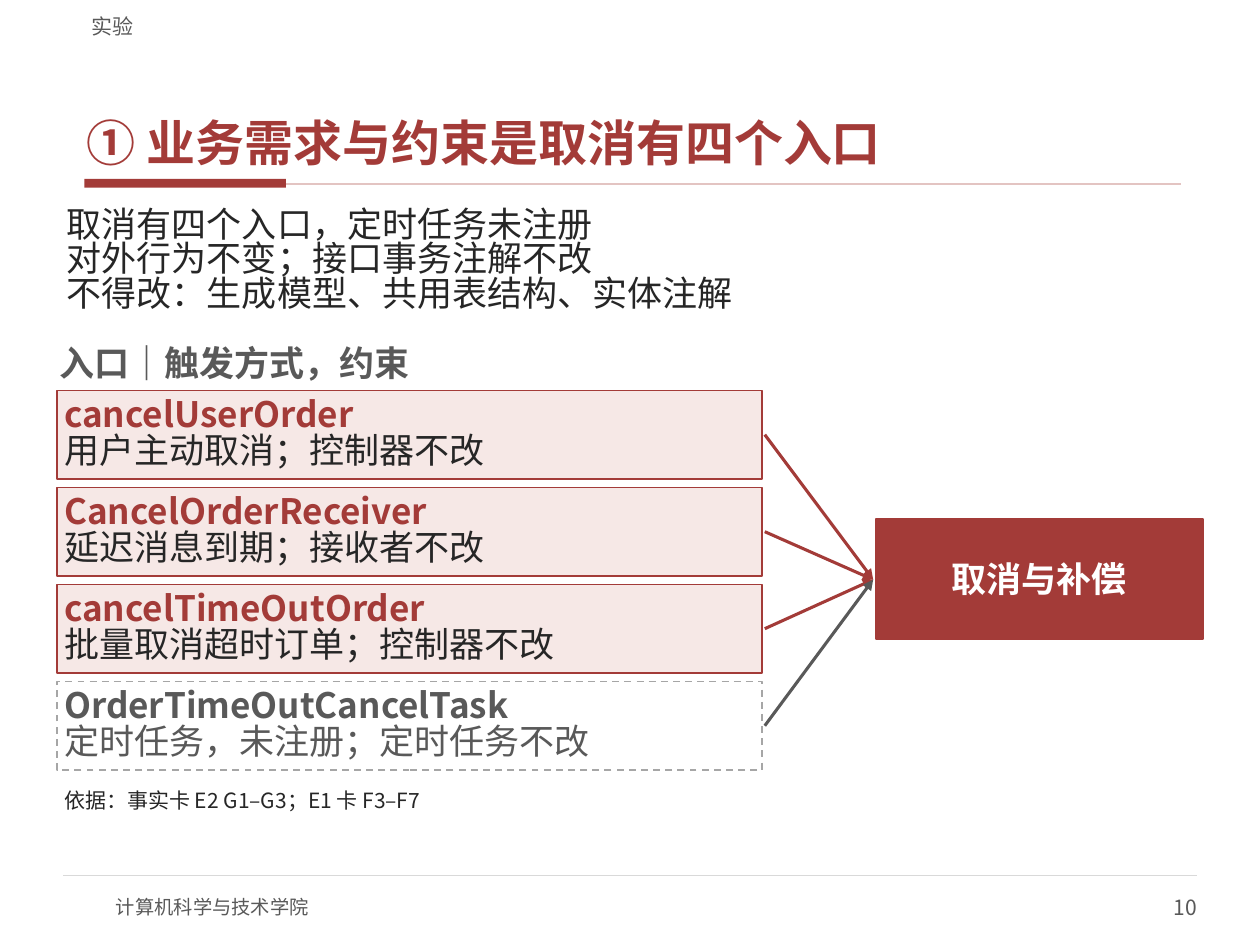
from lxml import etree
from pptx import Presentation
from pptx.dml.color import RGBColor
from pptx.enum.dml import MSO_LINE
from pptx.enum.shapes import MSO_CONNECTOR, MSO_SHAPE
from pptx.enum.text import MSO_ANCHOR, MSO_AUTO_SIZE, PP_ALIGN
from pptx.oxml.ns import qn
from pptx.util import Pt

DASH = MSO_LINE.DASH
STRAIGHT = MSO_CONNECTOR.STRAIGHT
RECTANGLE = MSO_SHAPE.RECTANGLE
TOP, MIDDLE, BOTTOM = MSO_ANCHOR.TOP, MSO_ANCHOR.MIDDLE, MSO_ANCHOR.BOTTOM
NO_AUTOFIT = MSO_AUTO_SIZE.NONE
LEFT, CENTER, RIGHT = PP_ALIGN.LEFT, PP_ALIGN.CENTER, PP_ALIGN.RIGHT

FONT = "Noto Sans CJK SC"
RED, PINK, INK, GREY, WHITE = "A33B38", "F6E8E6", "262626", "595959", "FFFFFF"
MARGIN = 32.4
ENTRY_TOP, ENTRY_STEP, ENTRY_WIDTH, ENTRY_HEIGHT = 223.2, 55.44, 403.2, 50.4
ARROW_START, ARROW_END, TARGET_MIDDLE = 437.04, 498.96, 331.2

RULES = (
    "取消有四个入口，定时任务未注册",
    "对外行为不变；接口事务注解不改",
    "不得改：生成模型、共用表结构、实体注解",
)
ENTRIES = (
    ("cancelUserOrder", "用户主动取消；控制器不改", True),
    ("CancelOrderReceiver", "延迟消息到期；接收者不改", True),
    ("cancelTimeOutOrder", "批量取消超时订单；控制器不改", True),
    ("OrderTimeOutCancelTask", "定时任务，未注册；定时任务不改", False),
)


def color(value):
    """Turn a hex string into a colour."""
    return RGBColor.from_string(value)


def write(shape, lines, size, inset=(0, 0), anchor=TOP, align=LEFT, spacing=None, before=0, after=0):
    """Fill a shape with lines given as (text, colour, bold)."""
    frame = shape.text_frame
    frame.auto_size = NO_AUTOFIT
    frame.word_wrap = True
    frame.vertical_anchor = anchor
    frame.margin_left = frame.margin_right = Pt(inset[0])
    frame.margin_top = frame.margin_bottom = Pt(inset[1])
    for index, (text, ink, bold) in enumerate(lines):
        para = frame.add_paragraph() if index else frame.paragraphs[0]
        para.alignment = align
        para.space_before, para.space_after = Pt(before), Pt(after)
        if spacing:
            para.line_spacing = spacing
        span = para.add_run()
        span.text = text
        span.font.name = FONT
        span.font.size = Pt(size)
        span.font.bold = bold
        span.font.color.rgb = color(ink)
        etree.SubElement(span.font._element, qn("a:ea")).set("typeface", FONT)


def add_text(page, place, lines, size, **layout):
    """Add a text box."""
    box = page.shapes.add_textbox(*map(Pt, place))
    write(box, lines, size, **layout)


def add_box(page, place, fill, line=None, dash=None):
    """Add a filled rectangle with an optional outline."""
    box = page.shapes.add_shape(RECTANGLE, *map(Pt, place))
    box.shadow.inherit = False
    box.fill.solid()
    box.fill.fore_color.rgb = color(fill)
    if line:
        box.line.color.rgb = color(line)
        box.line.width = Pt(1)
        box.line.dash_style = dash
    else:
        box.line.fill.background()
    return box


def add_line(page, ends, ink, width, arrow=False):
    """Add a straight line, with an arrowhead at its end if asked."""
    line = page.shapes.add_connector(STRAIGHT, *map(Pt, ends))
    line.line.color.rgb = color(ink)
    line.line.width = Pt(width)
    if arrow:
        etree.SubElement(line.line._get_or_add_ln(), qn("a:tailEnd")).set("type", "triangle")
    etree.SubElement(line._element.spPr, qn("a:effectLst"))


def add_title(page, text):
    """Place and format the title with its underline."""
    title = page.shapes.title
    title.left, title.top, title.width, title.height = map(Pt, (45.36, 23.76, 630, 75.6))
    write(title, [(text, RED, True)], 28, inset=(4.32, 1.44), anchor=BOTTOM, after=2)
    add_box(page, (48.24, 102.24, 115.2, 5.04), RED)
    add_line(page, (163.44, 105.12, 674.64, 105.12), "E3C4C2", 1)


def add_footer(page):
    """Add the footer rule, the school and the page number."""
    add_line(page, (36, 500.4, 684, 500.4), "D9D9D9", 0.75)
    add_text(page, (66.24, 504, 288, 28.8), [("计算机科学与技术学院", GREY, False)], 11, anchor=MIDDLE)
    add_text(page, (540, 504, 144, 28.8), [("10", GREY, False)], 12, anchor=MIDDLE, align=RIGHT)


def add_entry(page, index, name, detail, registered):
    """Add one entry box and its arrow to the target."""
    top = ENTRY_TOP + index * ENTRY_STEP
    fill, line, dash = (PINK, RED, None) if registered else (WHITE, "A6A6A6", DASH)
    name_ink, detail_ink = (RED, INK) if registered else (GREY, GREY)
    box = add_box(page, (MARGIN, top, ENTRY_WIDTH, ENTRY_HEIGHT), fill, line, dash)
    lines = [(name, name_ink, True), (detail, detail_ink, False)]
    write(box, lines, 20, inset=(4.32, 2.16), anchor=MIDDLE, spacing=0.85)
    ends = (ARROW_START, top + ENTRY_HEIGHT / 2, ARROW_END, TARGET_MIDDLE)
    add_line(page, ends, name_ink, 1.75, arrow=True)


def main():
    """Build the slide and save the deck."""
    deck = Presentation()
    deck.slide_width, deck.slide_height = Pt(720), Pt(540)
    page = deck.slides.add_slide(deck.slide_layouts[5])
    add_title(page, "① 业务需求与约束是取消有四个入口")
    add_footer(page)
    add_text(page, (45.36, 2.88, 630, 19.44), [("实验", GREY, False)], 12, inset=(7.2, 0), anchor=BOTTOM)
    add_text(page, (MARGIN, 116.64, 655.2, 75.6), [(rule, INK, False) for rule in RULES], 20,
             inset=(5.76, 2.88), spacing=0.83)
    add_text(page, (MARGIN, 194.4, ENTRY_WIDTH, 25.92), [("入口｜触发方式，约束", GREY, True)], 20,
             inset=(1.44, 0.72), anchor=MIDDLE)
    for index, entry in enumerate(ENTRIES):
        add_entry(page, index, *entry)
    target = add_box(page, (500.4, 296.64, 187.2, 68.4), RED, RED)
    write(target, [("取消与补偿", WHITE, True)], 20, inset=(5.76, 2.88), anchor=MIDDLE, align=CENTER)
    add_text(page, (MARGIN, 448.56, 655.2, 23.04), [("依据：事实卡 E2 G1–G3；E1 卡 F3–F7", INK, False)], 12,
             inset=(4.32, 1.44), after=2)
    deck.save("out.pptx")


if __name__ == "__main__":
    main()
